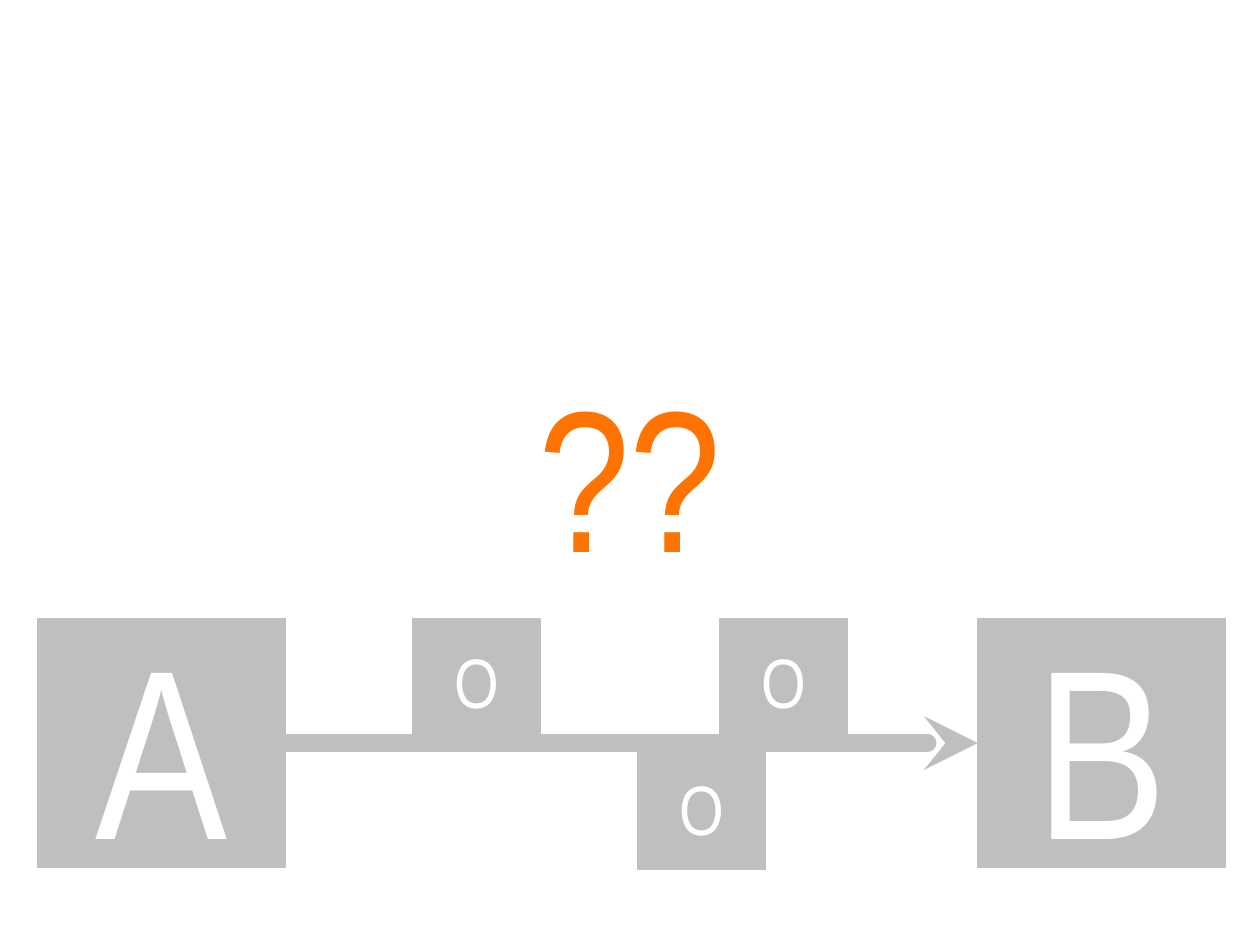
from dataclasses import dataclass

import pptx
import pptx.dml.color
import pptx.enum.shapes
import pptx.enum.text
import pptx.oxml
import pptx.oxml.ns
import pptx.util
from pptx.util import Cm


@dataclass(frozen=True)
class Theme:
    grey: str = "BFBFBF"
    white: str = "FFFFFF"
    orange: str = "FF7400"
    font: str = "Arial Narrow"
    end_size: float = 138
    stop_size: float = 40
    title_size: float = 115
    outline: float = 0.75
    path_width: float = 10.25


@dataclass(frozen=True)
class Box:
    text: str
    left: float
    top: float
    width: float
    height: float
    size: float


THEME = Theme()
TOP = 12.48
LOWER_TOP = 15.04
END_SIDE = 5.0
STOP_W, STOP_H = 2.59, 2.49

START = Box("A", 0.76, TOP, END_SIDE, END_SIDE, THEME.end_size)
GOAL = Box("B", 19.71, TOP, END_SIDE, END_SIDE, THEME.end_size)
STOPS = [
    Box("O", left, top, STOP_W, STOP_H, THEME.stop_size)
    for left, top in [(8.31, TOP), (12.85, LOWER_TOP), (14.5, TOP)]
]
TITLE = Box("??", 2.7, 7.52, 20, 4, THEME.title_size)


def rgb(value: str) -> pptx.dml.color.RGBColor:
    return pptx.dml.color.RGBColor.from_string(value)


def frame(box: Box) -> list[int]:
    return [Cm(v) for v in (box.left, box.top, box.width, box.height)]


def set_text(sp, box: Box, color: str) -> None:
    tf = sp.text_frame
    tf.text = box.text
    tf.word_wrap = True
    tf.vertical_anchor = pptx.enum.text.MSO_ANCHOR.MIDDLE
    p = tf.paragraphs[0]
    p.alignment = pptx.enum.text.PP_ALIGN.CENTER
    r = p.runs[0]
    r.font.name = THEME.font
    r.font.size = pptx.util.Pt(box.size)
    r.font.color.rgb = rgb(color)


def add_box(s, box: Box):
    sp = s.shapes.add_shape(pptx.enum.shapes.MSO_SHAPE.RECTANGLE, *frame(box))
    sp.shadow.inherit = False
    sp.fill.solid()
    sp.fill.fore_color.rgb = rgb(THEME.grey)
    sp.line.color.rgb = rgb(THEME.grey)
    sp.line.width = pptx.util.Pt(THEME.outline)
    set_text(sp, box, THEME.white)
    return sp


def add_title(s, box: Box) -> None:
    sp = s.shapes.add_textbox(*frame(box))
    tf = sp.text_frame
    tf.margin_left = tf.margin_right = tf.margin_top = tf.margin_bottom = 0
    set_text(sp, box, THEME.orange)


def add_arrow(s, start, goal) -> None:
    cxn = s.shapes.add_connector(pptx.enum.shapes.MSO_CONNECTOR.STRAIGHT, 0, 0, 0, 0)
    cxn.begin_connect(start, 3)
    cxn.end_connect(goal, 1)
    cxn.line.color.rgb = rgb(THEME.grey)
    cxn.line.width = pptx.util.Pt(THEME.path_width)
    ln = cxn.line._get_or_add_ln()
    ln.set("cap", "rnd")
    tail = pptx.oxml.parse_xml(
        f'<a:tailEnd {pptx.oxml.ns.nsdecls("a")} type="stealth"/>'
    )
    ln.append(tail)
    effects = pptx.oxml.parse_xml(f'<a:effectLst {pptx.oxml.ns.nsdecls("a")}/>')
    ln.addnext(effects)


def main() -> None:
    prs = pptx.Presentation()
    prs.slide_width, prs.slide_height = Cm(25.4), Cm(19.05)
    s = prs.slides.add_slide(prs.slide_layouts[6])
    start, goal = add_box(s, START), add_box(s, GOAL)
    add_arrow(s, start, goal)
    for stop in STOPS:
        add_box(s, stop)
    add_title(s, TITLE)
    prs.save("out.pptx")


if __name__ == "__main__":
    main()
